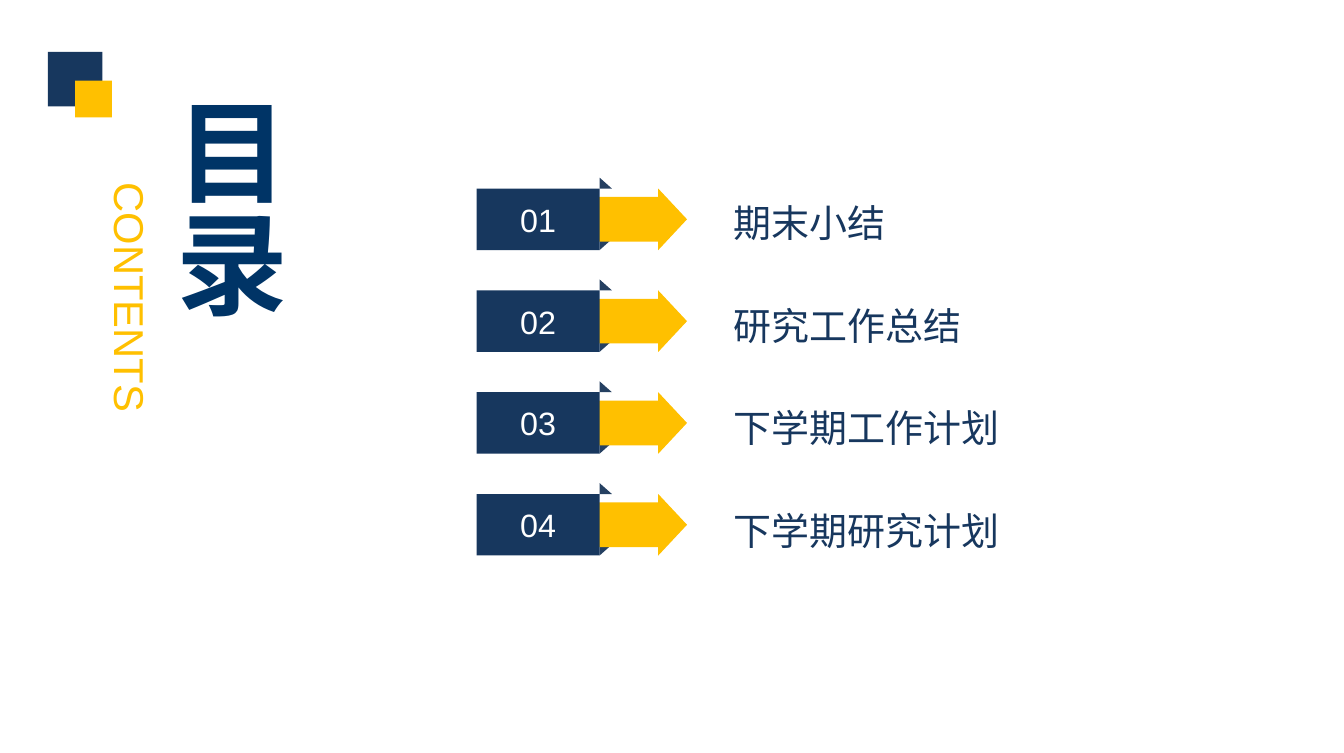
import pptx
import pptx.dml.color
import pptx.enum.shapes
import pptx.enum.text
import pptx.util

Inches = pptx.util.Inches
Shape = pptx.enum.shapes.MSO_SHAPE
Align = pptx.enum.text.PP_ALIGN
Anchor = pptx.enum.text.MSO_ANCHOR

NAVY, FOLD, GOLD, TITLE, WHITE = "17375E", "254061", "FFC000", "003466", "FFFFFF"
TOPICS = ["期末小结", "研究工作总结", "下学期工作计划", "下学期研究计划"]
BANNER_PITCH, TOPIC_PITCH = 0.745, 0.75


def color(value):
    """Turn a hex string into a colour."""
    return pptx.dml.color.RGBColor.from_string(value)


def add_block(page, kind, left, top, width, height, fill):
    """Add a flat filled shape without outline or shadow."""
    block = page.shapes.add_shape(
        kind, Inches(left), Inches(top), Inches(width), Inches(height))
    block.shadow.inherit = False
    block.fill.solid()
    block.fill.fore_color.rgb = color(fill)
    block.line.fill.background()
    return block


def set_text(box, text, size, tint, align=Align.LEFT, anchor=Anchor.MIDDLE, bold=False):
    """Write one styled paragraph into a box without margins."""
    frame = box.text_frame
    frame.text = text
    frame.word_wrap = True
    frame.vertical_anchor = anchor
    frame.margin_left = frame.margin_right = frame.margin_top = frame.margin_bottom = 0
    para = frame.paragraphs[0]
    para.alignment = align
    font = para.runs[0].font
    font.name = "Arial"
    font.size = pptx.util.Pt(size)
    font.bold = bold
    font.color.rgb = color(tint)


def add_label(page, left, top, width, height, *text, **style):
    """Add a text box and write its text."""
    box = page.shapes.add_textbox(
        Inches(left), Inches(top), Inches(width), Inches(height))
    set_text(box, *text, **style)
    return box


def draw_heading(page, left, top):
    """Draw the corner squares and the two vertical titles."""
    add_block(page, Shape.RECTANGLE, left, top, 0.4, 0.4, NAVY)
    add_block(page, Shape.RECTANGLE, left + 0.2, top + 0.21, 0.27, 0.27, GOLD)
    title = add_label(page, left + 0.83, top + 0.32, 0.99, 1.7,
                      "目录", 59, TITLE, align=Align.CENTER, bold=True)
    title.text_frame._txBody.bodyPr.set("vert", "eaVert")
    subtitle = add_label(page, left - 0.65, top + 1.61, 2.51, 0.37,
                         "CONTENTS", 22, GOLD, align=Align.CENTER, anchor=Anchor.TOP)
    subtitle.rotation = 90


def draw_banner(page, left, top, number):
    """Draw a numbered plate with an arrow threaded through its folds."""
    width, height = 0.9, 0.45
    fold_left, fold_height = left + width, 0.08
    lower = add_block(page, Shape.RIGHT_TRIANGLE, fold_left, top + height - fold_height,
                      0.09, fold_height, FOLD)
    lower.element.spPr.xfrm.set("flipV", "1")
    add_block(page, Shape.RIGHT_TRIANGLE, fold_left, top - fold_height,
              0.09, fold_height, FOLD)
    arrow = add_block(page, Shape.RIGHT_ARROW, left + 0.22, top, 1.32, height, GOLD)
    arrow.adjustments[0], arrow.adjustments[1] = 0.726, 0.468
    plate = add_block(page, Shape.RECTANGLE, left, top, width, height, NAVY)
    set_text(plate, f"{number:02d}", 17, WHITE, align=Align.CENTER)


def draw_agenda(page, left, top):
    """Draw the numbered banners with their topics."""
    for index, topic in enumerate(TOPICS):
        draw_banner(page, left, top + index * BANNER_PITCH, index + 1)
        add_label(page, left + 1.88, top + 0.08 + index * TOPIC_PITCH, 2.31, 0.34,
                  topic, 20, NAVY)


def main():
    """Build the contents slide and save the deck."""
    deck = pptx.Presentation()
    deck.slide_width, deck.slide_height = Inches(9.84), Inches(5.51)
    page = deck.slides.add_slide(deck.slide_layouts[6])
    draw_heading(page, 0.35, 0.38)
    draw_agenda(page, 3.49, 1.38)
    deck.save("out.pptx")


if __name__ == "__main__":
    main()
